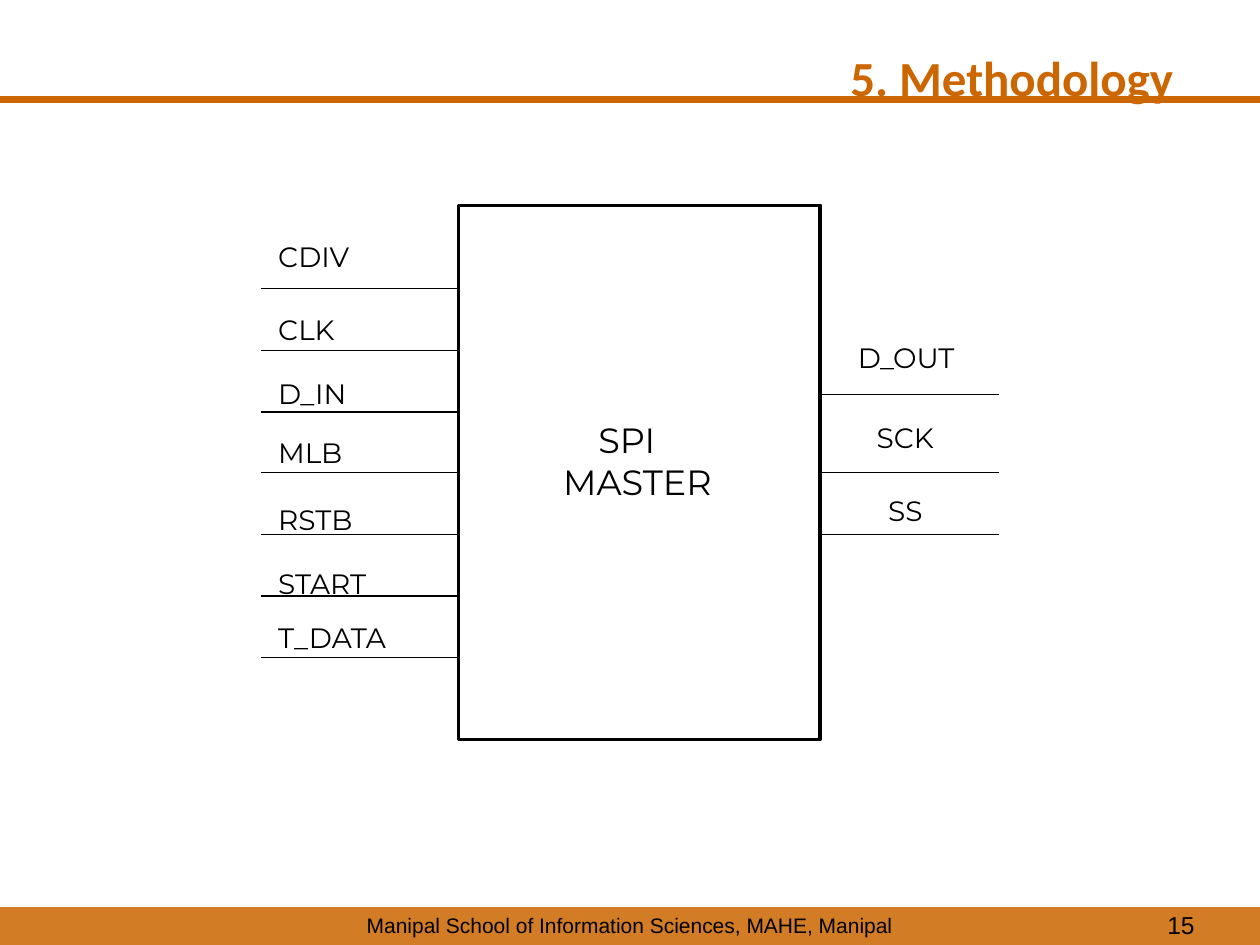
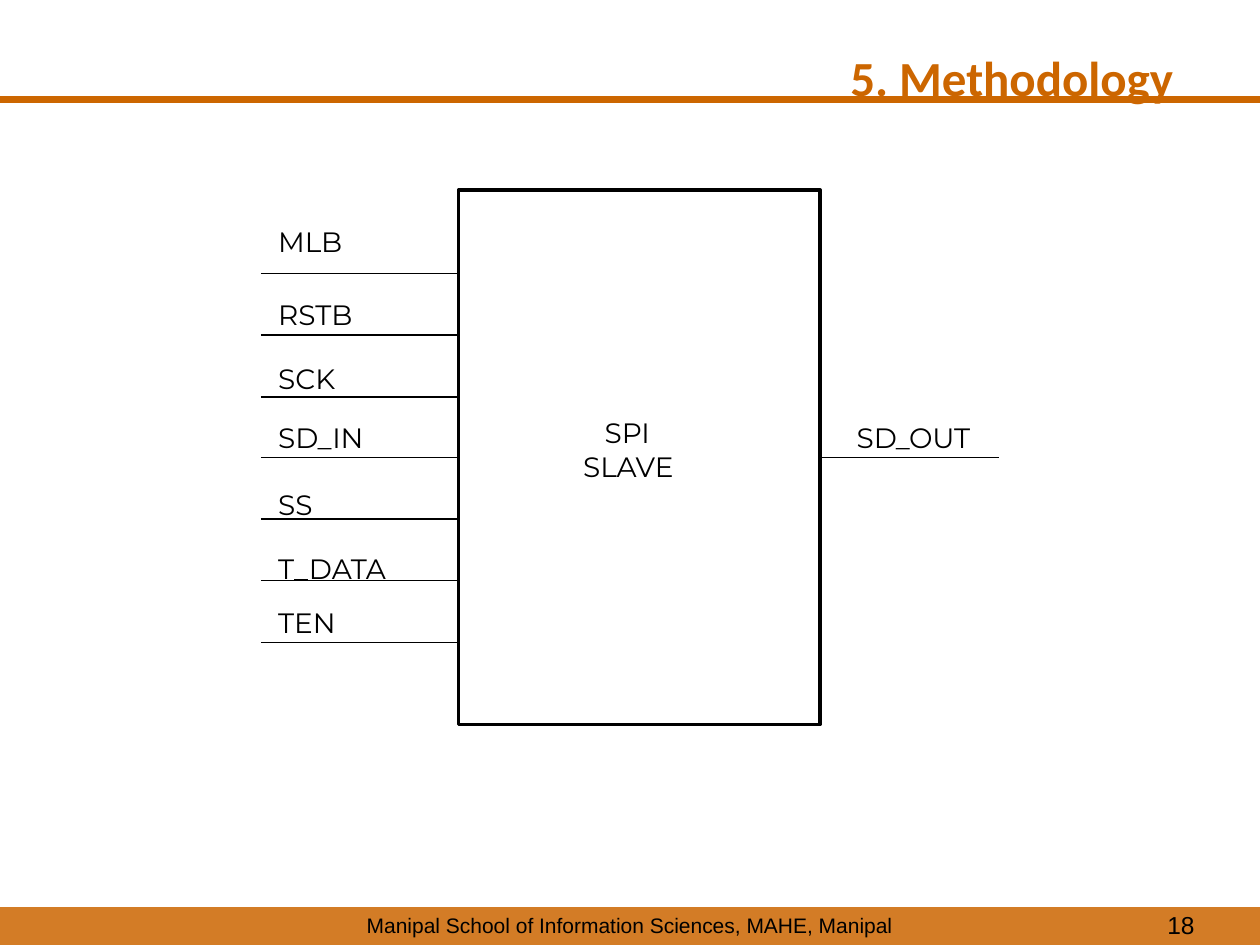
from pptx import Presentation, util as u
from pptx.dml.color import RGBColor
from pptx.enum import shapes, text
from pptx.oxml.ns import qn
from lxml import etree

PX = 9144  # EMU per px, 100 px to the inch
ORANGE = RGBColor(0xCC, 0x66, 0x00)
BLACK = RGBColor(0, 0, 0)
LEFT, RIGHT, CENTER = text.PP_ALIGN.LEFT, text.PP_ALIGN.RIGHT, text.PP_ALIGN.CENTER

# Chip geometry; heights count from the top of the block
BLOCK_X, BLOCK_W, BLOCK_H = 364, 287, 424
MID = BLOCK_H // 2
IN_X, OUT_X = 207, 793
FIRST, STEP = 66, 48.83
LABEL_TOPS = (22, 80, 131, 178, 231, 282, 325)


class Deck:
    def __init__(self):
        self.prs = Presentation()
        self.prs.slide_width, self.prs.slide_height = 1000 * PX, 750 * PX
        self.slide = None

    def page(self, title, number):
        self.slide = self.prs.slides.add_slide(self.prs.slide_layouts[5])
        # Rule and footer band
        self.line(0, 79, 1003, 79, ORANGE, 4.5)
        band = self.rect(0, 720, 1000, 30)
        band.fill.solid()
        band.fill.fore_color.rgb = ORANGE
        tint = band.fill._xPr.find(".//" + qn("a:srgbClr"))
        etree.SubElement(tint, qn("a:alpha")).set("val", "85000")
        band.line.fill.background()
        self.label(0, 719, 1000, 30, ["Manipal School of Information Sciences, MAHE, Manipal"],
                   12, "Arial", CENTER, wrap=True)
        self.label(725, 717, 233, 33, [str(number)], 14, "Arial", RIGHT, wrap=True)
        # Title
        head = self.slide.shapes.title
        self.place(head, 50, 30, 900, 49)
        frame = head.text_frame
        frame.auto_size = text.MSO_AUTO_SIZE.NONE
        frame.vertical_anchor = text.MSO_ANCHOR.TOP
        frame.margin_top, frame.margin_right = 8 * PX, 19 * PX
        frame.text = title
        self.style(frame.paragraphs[0], 28, "Calibri", RIGHT, ORANGE, True)

    def place(self, shape, x, y, w, h):
        shape.left, shape.top, shape.width, shape.height = (v * PX for v in (x, y, w, h))

    def style(self, para, size, face, align, color=BLACK, bold=False):
        para.alignment = align
        font = para.font
        font.size, font.name, font.bold = u.Pt(size), face, bold
        font.color.rgb = color

    def rect(self, x, y, w, h):
        box = self.slide.shapes.add_shape(
            shapes.MSO_SHAPE.RECTANGLE, *(v * PX for v in (x, y, w, h)))
        box.shadow.inherit = False
        return box

    def line(self, x1, y1, x2, y2, color=BLACK, width=0.75):
        link = self.slide.shapes.add_connector(
            shapes.MSO_CONNECTOR.STRAIGHT, *(v * PX for v in (x1, y1, x2, y2)))
        link.line.color.rgb = color
        link.line.width = u.Pt(width)
        etree.SubElement(link._element.spPr, qn("a:effectLst"))
        return link

    def label(self, x, y, w, h, lines, size=16, face="Montserrat", align=LEFT,
              wrap=False, indents=None):
        box = self.slide.shapes.add_textbox(*(v * PX for v in (x, y, w, h)))
        frame = box.text_frame
        frame.word_wrap = wrap
        frame.text = "\n".join(lines)
        for para, indent in zip(frame.paragraphs, indents or [0] * len(lines)):
            self.style(para, size, face, align)
            if indent:
                para._p.get_or_add_pPr().set("marL", str(indent * PX))

    def chip(self, top, name, inputs, outputs):
        block = self.rect(BLOCK_X, top, BLOCK_W, BLOCK_H)
        block.fill.background()
        block.line.color.rgb = BLACK
        block.line.width = u.Pt(2)
        # Input pins, evenly spaced
        for i, (pin, (word, wide)) in enumerate(zip(LABEL_TOPS, inputs)):
            y = round(FIRST + i * STEP)
            wire = self.line(IN_X, top + y, BLOCK_X, top + y)
            if y == MID:
                wire.end_connect(block, 1)
            self.label(211, top + pin, wide, 37, [word])
        # Output pins
        for word, y, x, pin, wide in outputs:
            wire = self.line(BLOCK_X + BLOCK_W, top + y, OUT_X, top + y)
            if y == MID:
                wire.begin_connect(block, 3)
            self.label(x, top + pin, wide, 37, [word])
        self.label(**name)


def main():
    deck = Deck()

    # Master block
    deck.page("5. Methodology", 15)
    deck.chip(
        163,
        dict(x=437, y=327, w=151, h=77, lines=["SPI", "MASTER"], size=20, indents=[28, 0]),
        [("CDIV", 82), ("CLK", 71), ("D_IN", 76), ("MLB", 74),
         ("RSTB", 88), ("START", 102), ("T_DATA", 112)],
        [("D_OUT", 150, 671, 102, 103), ("SCK", MID, 686, 166, 73),
         ("SS", 261, 695, 224, 52)])

    # Slave block
    deck.page("5. Methodology", 18)
    deck.chip(
        151,
        dict(x=448, y=325, w=109, h=64, lines=["SPI", "SLAVE"], indents=[22, 5]),
        [("MLB", 74), ("RSTB", 88), ("SCK", 73), ("SD_IN", 93),
         ("SS", 52), ("T_DATA", 112), ("TEN", 71)],
        [("SD_OUT", MID, 670, 178, 119)])

    deck.prs.save("out.pptx")


if __name__ == "__main__":
    main()
